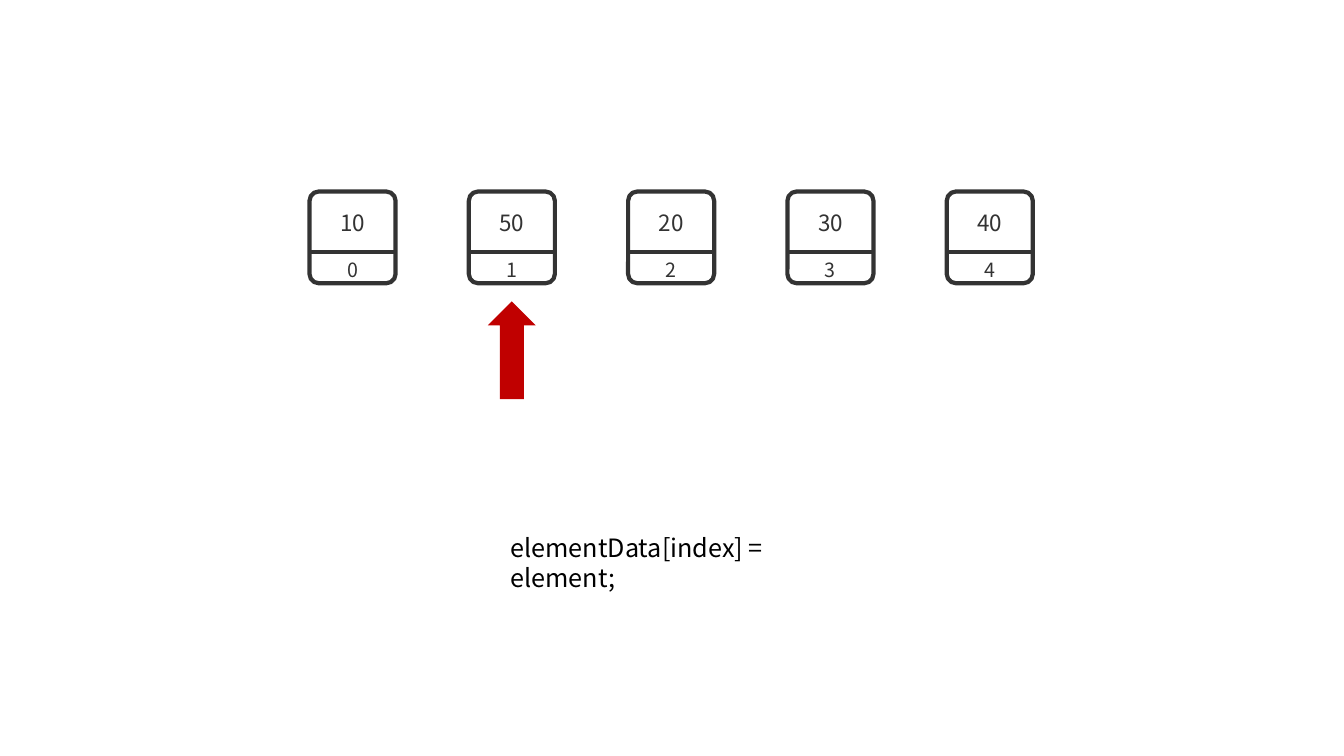
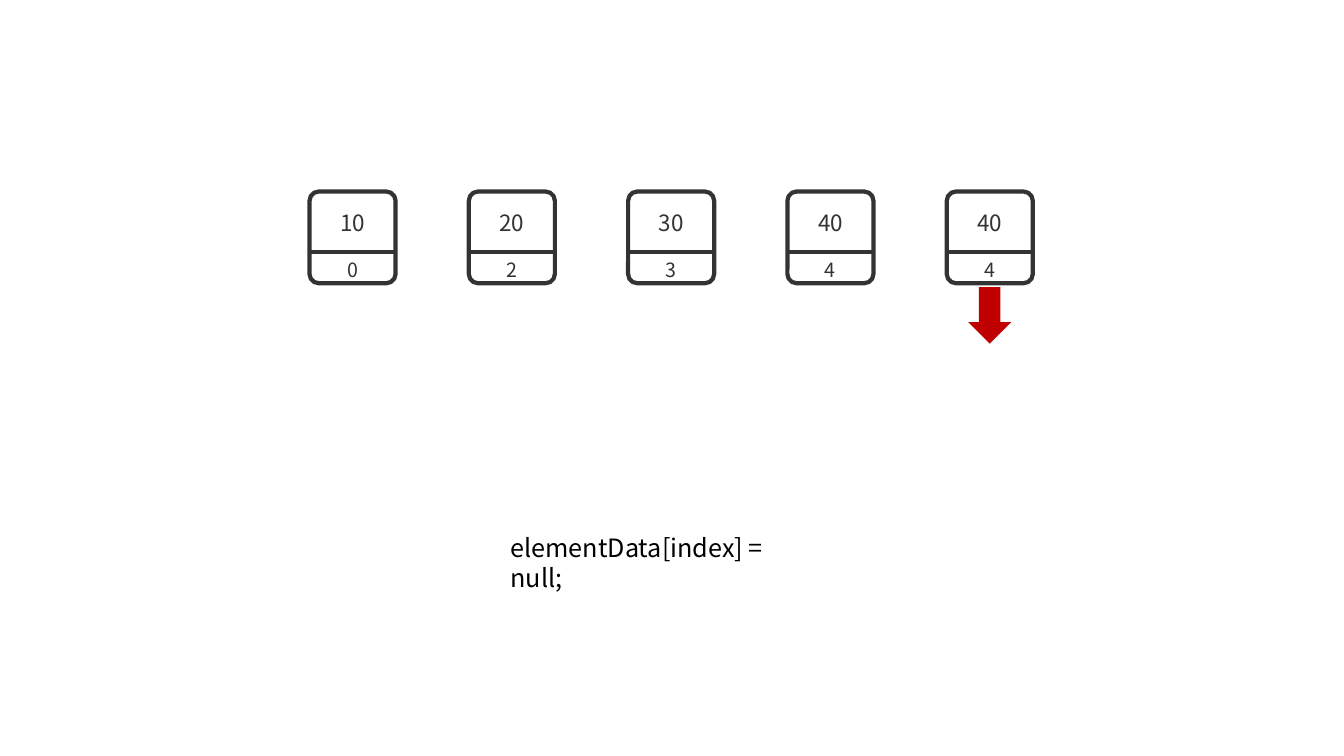
import dataclasses

import pptx
import pptx.dml.color
import pptx.enum.shapes
import pptx.enum.text
import pptx.oxml
import pptx.oxml.ns
import pptx.util

SHAPE = pptx.enum.shapes.MSO_SHAPE
ALIGN = pptx.enum.text.PP_ALIGN
ANCHOR = pptx.enum.text.MSO_ANCHOR


@dataclasses.dataclass(frozen=True)
class Theme:
    font: str = "Noto Sans CJK KR"
    ink: str = "333333"
    code: str = "000000"
    accent: str = "C00000"
    value_size: int = 16
    index_size: int = 14
    code_size: int = 18
    leading: float = 1.2
    stroke: int = 3


def rgb(value):
    return pptx.dml.color.RGBColor.from_string(value)


class Deck:
    # Grid in inches: one column per array cell, fine rows from the top
    LEFT, COL, ROW = 3.07, 1.58, 0.1
    CELL_W = 0.54
    CELL_TOP, CELL_H, DIVIDER = 19, 9.1, 25

    def __init__(self, theme):
        self.theme = theme
        self.prs = pptx.Presentation()
        self.prs.slide_width = pptx.util.Inches(13.33)
        self.prs.slide_height = pptx.util.Inches(7.5)
        self.slide = None

    def add_slide(self):
        self.slide = self.prs.slides.add_slide(self.prs.slide_layouts[6])

    def x(self, col):
        return pptx.util.Inches(self.LEFT + col * self.COL)

    def y(self, row):
        return pptx.util.Inches(row * self.ROW)

    def area(self, col, row, cols, rows):
        return self.x(col), self.y(row), pptx.util.Inches(cols * self.COL), self.y(rows)

    def text(self, shapes, text, area, size, color, align=ALIGN.LEFT, anchor=ANCHOR.TOP):
        tf = shapes.add_textbox(*self.area(*area)).text_frame
        tf.word_wrap = True
        tf.vertical_anchor = anchor
        p = tf.paragraphs[0]
        p.text = text
        p.alignment = align
        p.line_spacing = pptx.util.Pt(size * self.theme.leading)
        p.font.name = self.theme.font
        p.font.size = pptx.util.Pt(size)
        p.font.color.rgb = rgb(color)

    def stroke(self, line):
        line.color.rgb = rgb(self.theme.ink)
        line.width = pptx.util.Pt(self.theme.stroke)

    def cell(self, col, value, index):
        t = self.theme
        shapes = self.slide.shapes.add_group_shape().shapes
        # Frame
        sp = shapes.add_shape(SHAPE.ROUNDED_RECTANGLE,
                              *self.area(col, self.CELL_TOP, self.CELL_W, self.CELL_H))
        sp.adjustments[0] = 0.107
        sp.shadow.inherit = False
        sp.fill.background()
        self.stroke(sp.line)
        # Divider
        y = self.y(self.DIVIDER)
        line = shapes.add_connector(pptx.enum.shapes.MSO_CONNECTOR.STRAIGHT,
                                    self.x(col), y, self.x(col + self.CELL_W), y)
        self.stroke(line.line)
        sp_pr = line._element.find(pptx.oxml.ns.qn("p:spPr"))
        sp_pr.append(pptx.oxml.parse_xml(
            "<a:effectLst %s/>" % pptx.oxml.ns.nsdecls("a")))
        # Index below, value above
        self.text(shapes, index, (col, 25.1, self.CELL_W, 3.4),
                  t.index_size, t.ink, ALIGN.CENTER)
        self.text(shapes, value, (col, 20.2, self.CELL_W, 3.7),
                  t.value_size, t.ink, ALIGN.CENTER, ANCHOR.MIDDLE)

    def array(self, cells):
        for col, (value, index) in enumerate(cells):
            self.cell(col, value, index)

    def arrow(self, kind, col, row, cols, rows):
        left = col + (self.CELL_W - cols) / 2
        sp = self.slide.shapes.add_shape(kind, *self.area(left, row, cols, rows))
        sp.shadow.inherit = False
        sp.fill.solid()
        sp.fill.fore_color.rgb = rgb(self.theme.accent)
        sp.line.fill.background()

    def code(self, text, cols):
        self.text(self.slide.shapes, text, (1.2, 52.3, cols, 4),
                  self.theme.code_size, self.theme.code)


deck = Deck(Theme())

# Setting an element
deck.add_slide()
deck.array([("10", "0"), ("50", "1"), ("20", "2"), ("30", "3"), ("40", "4")])
deck.arrow(SHAPE.UP_ARROW, 1, 29.9, 0.3, 9.7)
deck.code("elementData[index] = element;", 2.31)

# Clearing the last element
deck.add_slide()
deck.array([("10", "0"), ("20", "2"), ("30", "3"), ("40", "4"), ("40", "4")])
deck.arrow(SHAPE.DOWN_ARROW, 4, 28.5, 0.27, 5.6)
deck.code("elementData[index] = null;", 2)

deck.prs.save("out.pptx")
